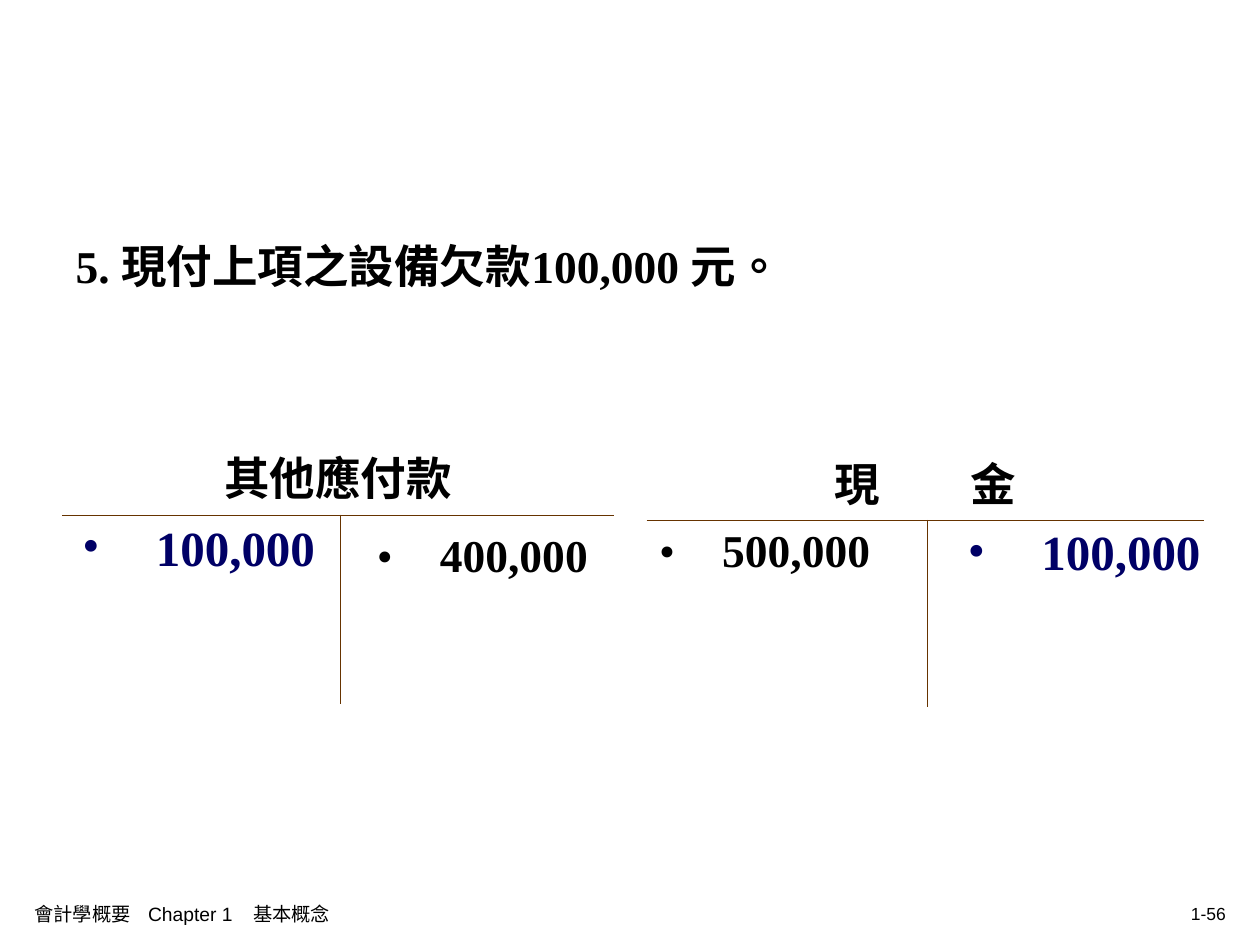
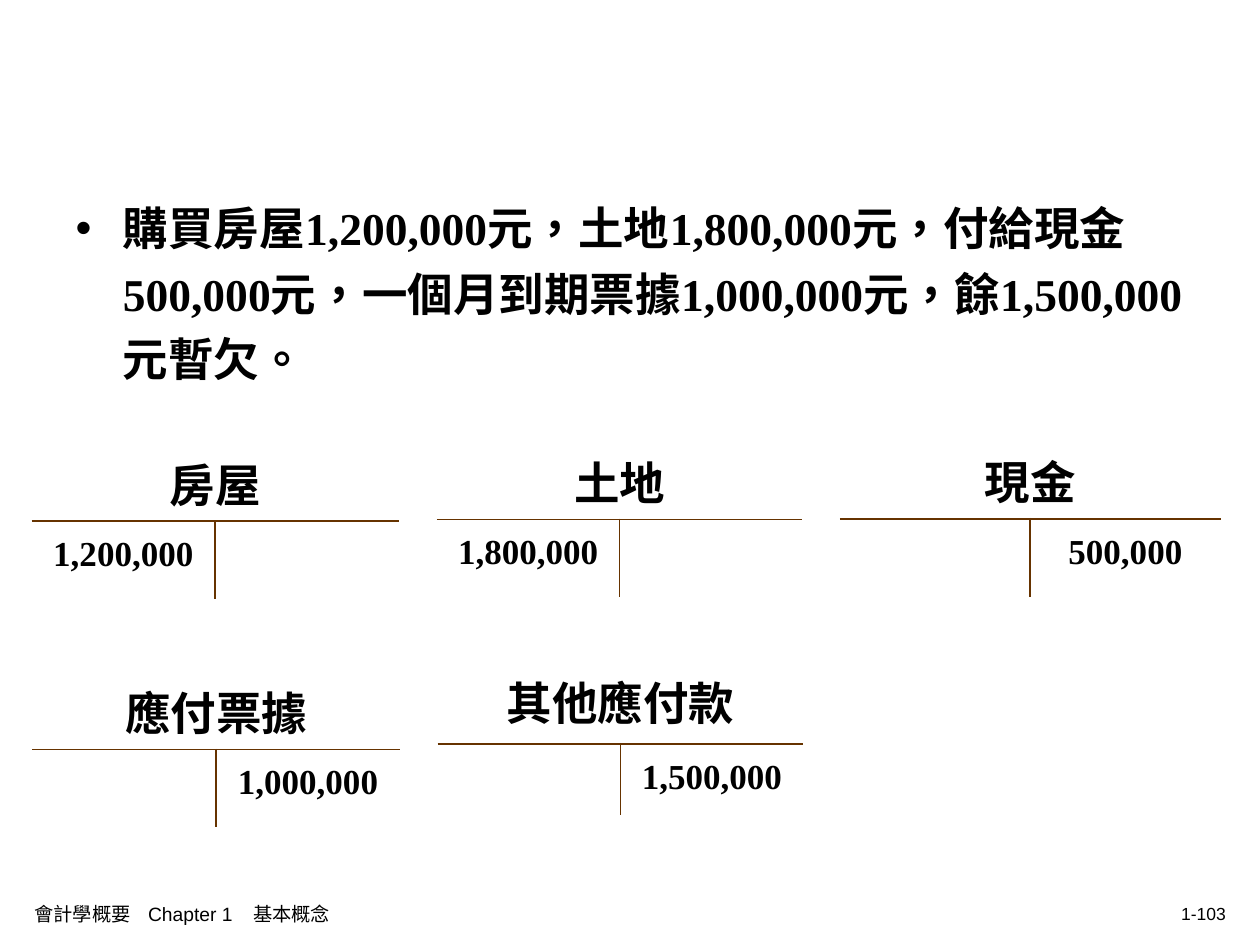
from dataclasses import dataclass

from lxml import etree
from pptx import Presentation
from pptx.dml.color import RGBColor
from pptx.enum.lang import MSO_LANGUAGE_ID
from pptx.enum.text import MSO_ANCHOR, MSO_AUTO_SIZE, PP_ALIGN
from pptx.oxml.ns import qn
from pptx.util import Pt

LEFT, MID, RIGHT = PP_ALIGN.LEFT, PP_ALIGN.CENTER, PP_ALIGN.RIGHT
TOP, CENTER = MSO_ANCHOR.TOP, MSO_ANCHOR.MIDDLE
NO_FIT = MSO_AUTO_SIZE.NONE
CHINESE = MSO_LANGUAGE_ID.TRADITIONAL_CHINESE
NO_GRID = "{2D5ABB26-0587-4C30-8999-92F81FD0307C}"
COURSE = "會計學概要\tChapter 1\t基本概念"
STOPS = (65, 125)


@dataclass(frozen=True)
class Theme:
    ink: str = "000000"
    navy: str = "000066"
    brown: str = "663300"
    serif: str = "Times New Roman"
    sans: str = "Arial"
    body: float = 26
    entry: float = 28
    small: float = 20
    foot: float = 11
    page: float = 10
    rule: float = 1.08


THEME = Theme()


@dataclass(frozen=True)
class Look:
    """How the amounts of one T account are set."""
    size: float
    sides: tuple = (MID, MID)
    space: float = 1.2
    pad: float = 7.2
    hang: float = 0


# Text helpers
def add_run(par, text, size, color=THEME.ink, face=THEME.serif, bold=True):
    run = par.add_run()
    run.text = text
    font = run.font
    font.size, font.name, font.bold = Pt(size), face, bold
    font.color.rgb = RGBColor.from_string(color)
    font.language_id = CHINESE


def set_hang(par, hang, dot=True, color=THEME.ink, face=THEME.serif):
    props = par._p.get_or_add_pPr()
    props.set("marL", str(Pt(hang)))
    props.set("indent", str(-Pt(hang)))
    if not dot:
        etree.SubElement(props, qn("a:buNone"))
        return
    tint = etree.SubElement(props, qn("a:buClr"))
    etree.SubElement(tint, qn("a:srgbClr"), val=color)
    etree.SubElement(props, qn("a:buFont"), typeface=face)
    etree.SubElement(props, qn("a:buChar"), char="•")


def set_tabs(par, stops):
    tabs = etree.SubElement(par._p.get_or_add_pPr(), qn("a:tabLst"))
    for stop in stops:
        etree.SubElement(tabs, qn("a:tab"), pos=str(Pt(stop)), algn="l")


def set_par(par, align=LEFT, space=1.0):
    par.alignment = align
    par.line_spacing = space
    par.space_before = Pt(0)


def add_box(slide, box, anchor=TOP):
    frame = slide.shapes.add_textbox(*map(Pt, box)).text_frame
    frame.word_wrap = True
    frame.vertical_anchor = anchor
    return frame.paragraphs[0]


# Slide with its body text and footer
def add_page(deck, number, box, text, dot):
    slide = deck.slides.add_slide(deck.slide_layouts[1])
    title = slide.shapes.title._element
    title.getparent().remove(title)
    body = slide.placeholders[1]
    body.left, body.top, body.width, body.height = map(Pt, box)
    body.text_frame.auto_size = NO_FIT
    par = body.text_frame.paragraphs[0]
    set_hang(par, 27, dot, face=THEME.sans)
    set_par(par, space=1.2)
    add_run(par, text, THEME.body)
    add_foot(slide, number)
    return slide


def add_foot(slide, number):
    par = add_box(slide, (12.5, 510, 322, 24), CENTER)
    set_tabs(par, STOPS)
    add_run(par, COURSE, THEME.foot, face=THEME.sans, bold=False)
    par = add_box(slide, (515.5, 510, 192, 24), CENTER)
    par.alignment = RIGHT
    add_run(par, number, THEME.page, face=THEME.sans, bold=False)


# T account: merged heading above a debit and a credit cell
def set_edge(cell, *sides):
    props = cell._tc.get_or_add_tcPr()
    for side in sides:
        line = etree.SubElement(props, qn("a:ln" + side), w=str(Pt(THEME.rule)))
        fill = etree.SubElement(line, qn("a:solidFill"))
        etree.SubElement(fill, qn("a:srgbClr"), val=THEME.brown)


def add_account(slide, spot, cols, rows, head, sums, look):
    left, top = spot
    frame = slide.shapes.add_table(2, 2, Pt(left), Pt(top), Pt(sum(cols)), Pt(sum(rows)))
    table = frame.table
    table.first_row = table.horz_banding = False
    table._tbl.tblPr.find(qn("a:tableStyleId")).text = NO_GRID
    for col, width in zip(table.columns, cols):
        col.width = Pt(width)
    for row, height in zip(table.rows, rows):
        row.height = Pt(height)

    # Rules
    for cell in table.rows[0].cells:
        set_edge(cell, "B")
    set_edge(table.cell(1, 0), "R", "T")
    set_edge(table.cell(1, 1), "L", "T")
    for cell in table.iter_cells():
        cell.fill.background()
        cell.margin_left = cell.margin_right = Pt(look.pad)

    # Heading
    name = table.cell(0, 0)
    name.merge(table.cell(0, 1))
    par = name.text_frame.paragraphs[0]
    set_par(par, MID, look.space)
    add_run(par, head, THEME.body)

    # Amounts
    for cell, text, align in zip(table.rows[1].cells, sums, look.sides):
        if text:
            par = cell.text_frame.paragraphs[0]
            if look.hang:
                set_hang(par, look.hang)
            set_par(par, align, look.space)
            add_run(par, text, look.size)


def add_entry(slide, left, top, text):
    par = add_box(slide, (left, top, 153.5, 41))
    set_hang(par, 42, color=THEME.navy)
    set_par(par)
    add_run(par, text, THEME.entry, THEME.navy)


# Paying off the equipment debt
def add_payment(deck):
    slide = add_page(deck, "1-56", (36, 126, 684, 80),
                     "5. 現付上項之設備欠款100,000 元。", False)
    owed = Look(THEME.body, (LEFT, RIGHT), pad=15, hang=36)
    cash = Look(THEME.body, (LEFT, LEFT), space=1.0, hang=36)
    add_account(slide, (35.5, 242), (159, 156.5), (52.5, 108),
                "其他應付款", ("", "400,000"), owed)
    add_account(slide, (369.5, 252.5), (160.5, 158), (45, 106.5),
                "現　　金", ("500,000", ""), cash)
    for left, top in ((40, 292), (546, 294.5)):
        add_entry(slide, left, top, "100,000")


# Buying the house and land
def add_purchase(deck):
    slide = add_page(
        deck, "1-103", (36, 104.5, 648, 356.5),
        "購買房屋1,200,000元，土地1,800,000元，付給現金500,000元，"
        "一個月到期票據1,000,000元，餘1,500,000元暫欠。", True)
    look = Look(THEME.small)
    even, tall = (52.4, 44.5), (54.5, 41)
    accounts = (
        ((18, 245.5), 105, even, "房屋", ("1,200,000", "")),
        ((249.6, 244.5), 104.5, even, "土地", ("1,800,000", "")),
        ((480, 244), 108.75, even, "現金", ("", "500,000")),
        ((18.5, 376), 105, even, "應付票據", ("", "1,000,000")),
        ((250.1, 370.5), 104.5, tall, "其他應付款", ("", "1,500,000")),
    )
    for spot, half, rows, head, sums in accounts:
        add_account(slide, spot, (half, half), rows, head, sums, look)


def main():
    deck = Presentation()
    deck.slide_width, deck.slide_height = Pt(720), Pt(540)
    add_payment(deck)
    add_purchase(deck)
    deck.save("out.pptx")


if __name__ == "__main__":
    main()
